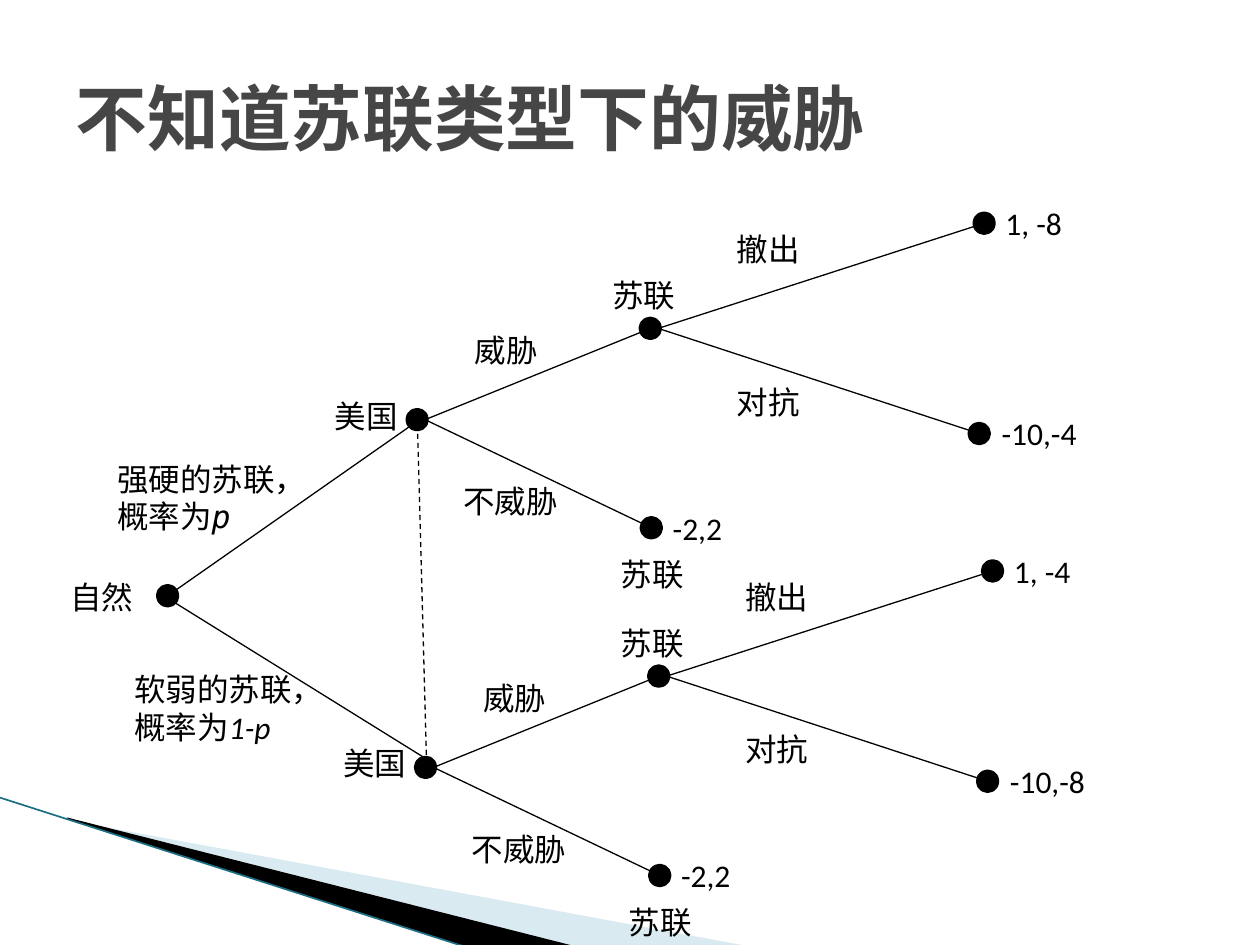
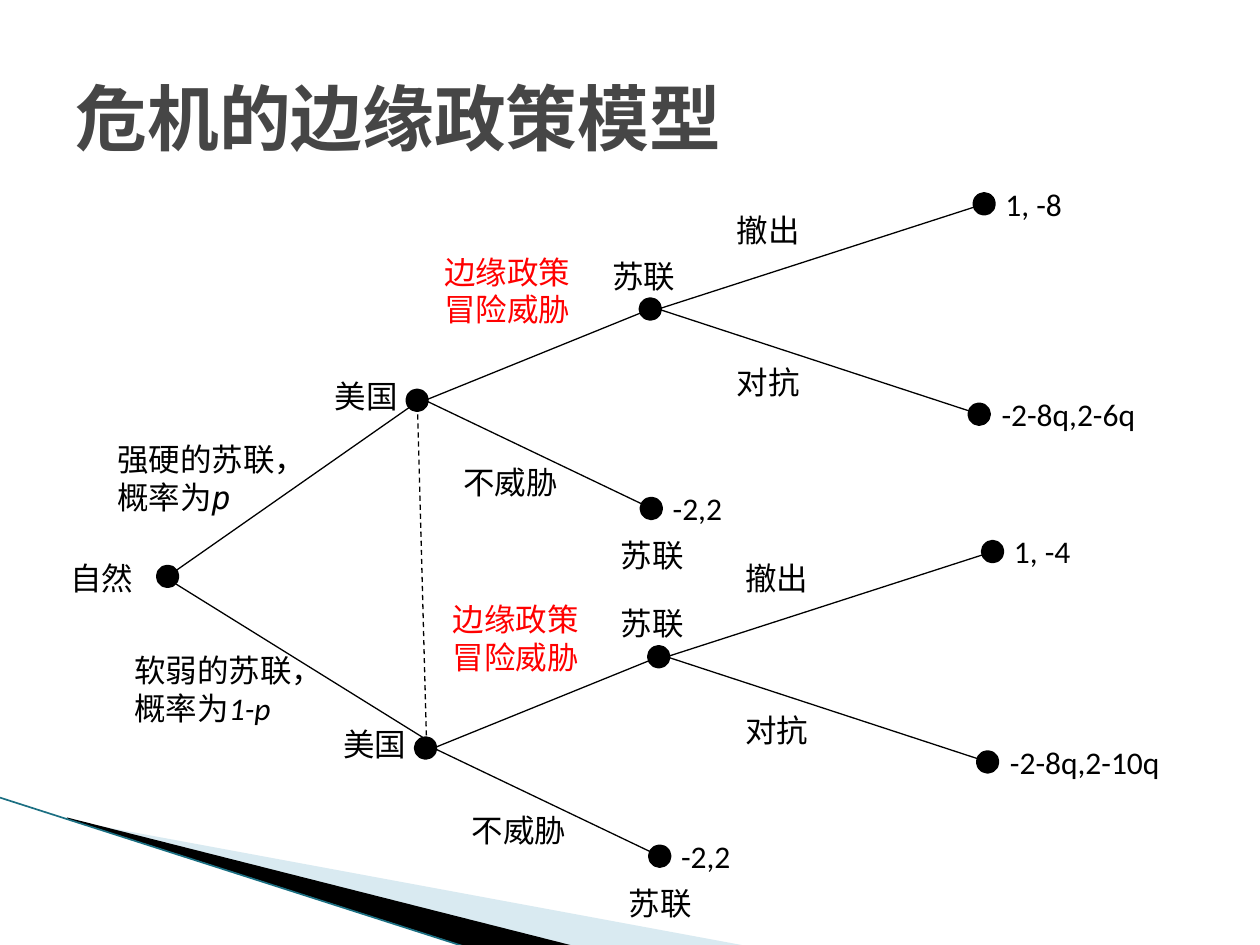
"""Build two game-tree slides about threats and brinkmanship."""
from dataclasses import dataclass

from lxml import etree
from pptx import Presentation
from pptx.dml.color import RGBColor
from pptx.enum.dml import MSO_LINE
from pptx.enum.shapes import MSO_CONNECTOR, MSO_SHAPE
from pptx.enum.text import MSO_ANCHOR, MSO_AUTO_SIZE, PP_ALIGN
from pptx.oxml.ns import qn
from pptx.util import Cm, Pt

STRAIGHT, OVAL = MSO_CONNECTOR.STRAIGHT, MSO_SHAPE.OVAL
DASH, MIDDLE, LEFT = MSO_LINE.DASH, MSO_ANCHOR.MIDDLE, PP_ALIGN.LEFT
GROW = MSO_AUTO_SIZE.SHAPE_TO_FIT_TEXT


@dataclass(frozen=True)
class Theme:
    title: str = "464646"
    ink: str = "000000"
    accent: str = "FF0000"
    pale_band: str = "A0CBDC"
    band_edge: str = "1B6F82"
    title_font: str = "Noto Sans CJK SC"
    label_font: str = "DejaVu Sans Mono"
    payoff_font: str = "Calibri"
    title_size: float = 41
    label_size: float = 18
    branch_width: float = 0.75
    edge_width: float = 0.95
    node_outline: float = 4.33


THEME = Theme()

GAMES = [
    {
        "title": "不知道苏联类型下的威胁",
        "rise": 0,
        "threat": ("威胁", 9.32, 6.55, 2.06, 1.02, THEME.ink),
        "payoffs": [("1, -8", "-10,-4", "-2,2"), ("1, -4", "-10,-8", "-2,2")],
    },
    {
        "title": "危机的边缘政策模型",
        "rise": 0.39,
        "threat": ("边缘政策冒险威胁", 8.71, 5.36, 3.53, 1.8, THEME.accent),
        "payoffs": [("1, -8", "-2-8q,2-6q", "-2,2"), ("1, -4", "-2-8q,2-10q", "-2,2")],
    },
]

NATURE = (3.38, 12.01)
NODE_RADIUS = 0.16
SUBTREE_STEP = (0.17, 7.01)
NODES = {
    "us": (8.41, 8.46),
    "ussr": (13.11, 6.62),
    "withdraw": (19.84, 4.5),
    "confront": (19.74, 8.74),
    "no_threat": (13.13, 10.64),
}
BRANCHES = [("us", "ussr"), ("us", "no_threat"), ("ussr", "withdraw"), ("ussr", "confront")]
MOVE_LABELS = [
    ("美国", 6.5, 7.87, 2.06),
    ("苏联", 12.09, 5.44, 2.06),
    ("苏联", 12.26, 11.07, 2.06),
    ("不威胁", 9.09, 9.6, 2.74),
    ("对抗", 14.6, 7.59, 2.74),
    ("撤出", 14.6, 4.52, 2.74),
]
PAYOFF_PLACES = [(20.02, 3.99), (19.94, 8.23), (13.31, 10.13)]
TYPE_LABELS = [
    ("强硬的苏联，", "概率为", "p", THEME.label_font, 2.11, 9.14),
    ("软弱的苏联，", "概率为", "1-p", THEME.payoff_font, 2.46, 13.39),
]
PALE_WEDGE = [(1.4, 16.54), (15.11, 19.08), (11.58, 19.08), (1.4, 16.51)]
DARK_WEDGE = [(1.35, 16.48), (11.61, 19.08), (9.45, 19.1), (1.37, 16.51)]
BAND_EDGE = [(0, 16.08), (9.42, 19.1)]


def style_run(run, font, size, color, bold=False, italic=False):
    run.font.size = Pt(size)
    run.font.bold, run.font.italic = bold, italic
    run.font.color.rgb = RGBColor.from_string(color)
    run.font.name = font
    etree.SubElement(run.font._element, qn("a:ea"), typeface=font)


def add_line(slide, start, end, color=THEME.ink, width=THEME.branch_width):
    line = slide.shapes.add_connector(STRAIGHT, *map(Cm, (*start, *end)))
    line.line.color.rgb = RGBColor.from_string(color)
    line.line.width = Pt(width)
    etree.SubElement(line._element.spPr, qn("a:effectLst"))
    return line


def add_wedge(slide, corners, color):
    points = [(Cm(x), Cm(y)) for x, y in corners]
    builder = slide.shapes.build_freeform(*points[0])
    builder.add_line_segments(points[1:])
    wedge = builder.convert_to_shape()
    wedge.shadow.inherit = False
    wedge.fill.solid()
    wedge.fill.fore_color.rgb = RGBColor.from_string(color)
    wedge.line.fill.background()
    return wedge


def add_band(slide):
    pale = add_wedge(slide, PALE_WEDGE, THEME.pale_band)
    tint = pale._element.spPr.find(qn("a:solidFill")).find(qn("a:srgbClr"))
    etree.SubElement(tint, qn("a:alpha"), val="40000")
    add_wedge(slide, DARK_WEDGE, THEME.ink)
    add_line(slide, *BAND_EDGE, THEME.band_edge, THEME.edge_width)


def add_title(slide, wording):
    title = slide.shapes.title
    title.left, title.top, title.width, title.height = map(Cm, (1.27, 0.76, 22.86, 3.18))
    title.text_frame.text = wording
    title.text_frame.vertical_anchor = MIDDLE
    heading = title.text_frame.paragraphs[0]
    heading.alignment = LEFT
    style_run(heading.runs[0], THEME.title_font, THEME.title_size, THEME.title, bold=True)


def add_node(slide, center):
    x, y = center
    side = 2 * NODE_RADIUS
    node = slide.shapes.add_shape(OVAL, *map(Cm, (x - NODE_RADIUS, y - NODE_RADIUS, side, side)))
    node.shadow.inherit = False
    node.fill.solid()
    node.fill.fore_color.rgb = node.line.color.rgb = RGBColor.from_string(THEME.ink)
    node.line.width = Pt(THEME.node_outline)


def add_label(slide, wording, x, y, width, height=1.02, color=THEME.ink, font=THEME.label_font):
    label = slide.shapes.add_textbox(*map(Cm, (x, y, width, height)))
    frame = label.text_frame
    frame.word_wrap = True
    frame.auto_size = GROW
    frame.text = wording
    for paragraph in frame.paragraphs:
        paragraph._p.get_or_add_pPr().set("hangingPunct", "1")
        style_run(paragraph.runs[0], font, THEME.label_size, color)
    return frame


def add_subtree(slide, game, payoffs, dx, dy):
    nodes = {name: (x + dx, y + dy) for name, (x, y) in NODES.items()}
    for parent, child in BRANCHES:
        x, y = nodes[parent]
        add_line(slide, (x + NODE_RADIUS, y), nodes[child])
    for center in nodes.values():
        add_node(slide, center)
    for wording, x, y, width in MOVE_LABELS:
        add_label(slide, wording, x + dx, y + dy, width)
    wording, x, y, *look = game["threat"]
    add_label(slide, wording, x + dx, y + dy, *look)
    for payoff, (x, y) in zip(payoffs, PAYOFF_PLACES):
        width = 4.01 if len(payoff) > 10 else 3.28
        add_label(slide, payoff, x + dx, y + dy, width, font=THEME.payoff_font)
    return nodes["us"]


def add_nature(slide, rise, strong_us, weak_us):
    x, y = NATURE[0], NATURE[1] - rise
    (strong_x, strong_y), (weak_x, weak_y) = strong_us, weak_us
    add_line(slide, (x, y), (strong_x + NODE_RADIUS, strong_y - 0.08))
    add_line(slide, (x + 0.13, y + 0.13), (weak_x + NODE_RADIUS, weak_y - 0.08))
    information_set = add_line(slide, (strong_x, strong_y - 0.08), (weak_x + 0.02, weak_y - 0.08))
    information_set.line.dash_style = DASH
    add_node(slide, (x, y))
    add_label(slide, "自然", 1.17, 11.53 - rise, 2.06)
    for kind, chance, symbol, font, left, top in TYPE_LABELS:
        frame = add_label(slide, f"{kind}\n{chance}", left, top - rise, 3.86, 1.8)
        probability = frame.paragraphs[1].add_run()
        probability.text = symbol
        style_run(probability, font, THEME.label_size, THEME.ink, italic=True)


def main():
    deck = Presentation()
    deck.slide_width, deck.slide_height = Cm(25.4), Cm(19.05)
    for game in GAMES:
        slide = deck.slides.add_slide(deck.slide_layouts[5])
        add_band(slide)
        add_title(slide, game["title"])
        step_x, step_y = SUBTREE_STEP
        us_nodes = [
            add_subtree(slide, game, payoffs, i * step_x, i * step_y - game["rise"])
            for i, payoffs in enumerate(game["payoffs"])
        ]
        add_nature(slide, game["rise"], *us_nodes)
    deck.save("out.pptx")


if __name__ == "__main__":
    main()
